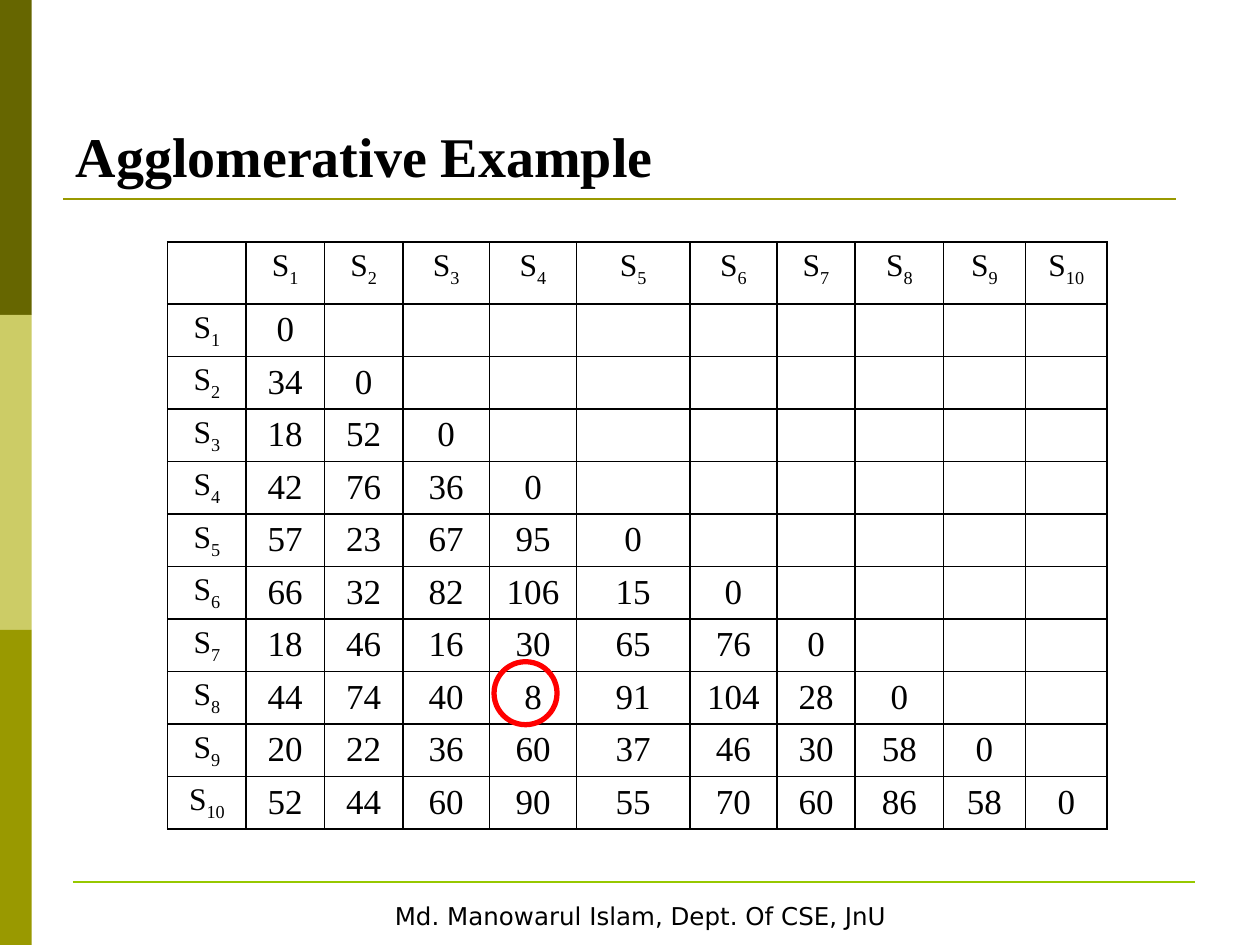
from dataclasses import dataclass

from lxml.etree import SubElement
from pptx import Presentation
from pptx.dml.color import RGBColor
from pptx.enum.shapes import MSO_CONNECTOR, MSO_SHAPE
from pptx.enum.text import MSO_ANCHOR, MSO_AUTO_SIZE, PP_ALIGN
from pptx.oxml.ns import qn
from pptx.util import Cm, Pt

COLORS = {
    "black": "000000",
    "white": "FFFFFF",
    "dark_olive": "666600",
    "pale_olive": "CCCC66",
    "olive": "999900",
    "green": "96C800",
    "red": "FF0000",
}
SERIF = "Times New Roman"
SANS = "DejaVu Sans"

DISTANCES = [
    [0],
    [34, 0],
    [18, 52, 0],
    [42, 76, 36, 0],
    [57, 23, 67, 95, 0],
    [66, 32, 82, 106, 15, 0],
    [18, 46, 16, 30, 65, 76, 0],
    [44, 74, 40, 8, 91, 104, 28, 0],
    [20, 22, 36, 60, 37, 46, 30, 58, 0],
    [52, 44, 60, 90, 55, 70, 60, 86, 58, 0],
]
COLUMN_WIDTHS = [1.58, 1.58, 1.58, 1.75, 1.75, 2.29, 1.75, 1.58, 1.78, 1.65, 1.65]
HEADER_HEIGHT = 1.25
ROW_HEIGHT = 1.03


@dataclass
class Rule:
    left: float
    right: float
    y: float
    color: str


@dataclass
class Figure:
    kind: MSO_SHAPE
    left: float
    top: float
    width: float
    height: float
    fill: str | None = None
    line: str | None = None
    line_width: float = 0


BAND_HEIGHT = 6.35
BANDS = [
    Figure(MSO_SHAPE.RECTANGLE, 0, index * BAND_HEIGHT, 0.64, BAND_HEIGHT, fill=color)
    for index, color in enumerate(["dark_olive", "pale_olive", "olive"])
]
RULES = [Rule(1.27, 23.7, 4.01, "olive"), Rule(1.47, 24.08, 17.78, "green")]
FOOTER = Figure(MSO_SHAPE.RECTANGLE, 1.27, 18.03, 23.29, 0.89, "white", "white", 2)
MINIMUM_RING = Figure(MSO_SHAPE.OVAL, 9.96, 13.34, 1.27, 1.27, line="red", line_width=3)


def rgb(name: str) -> RGBColor:
    return RGBColor.from_string(COLORS[name])


def style_font(font, name: str, size: float, bold: bool = False) -> None:
    font.name = name
    font.size = Pt(size)
    font.bold = bold
    font.color.rgb = rgb("black")


def draw_figure(page, figure: Figure):
    shape = page.shapes.add_shape(
        figure.kind, Cm(figure.left), Cm(figure.top), Cm(figure.width), Cm(figure.height)
    )
    shape.shadow.inherit = False
    if figure.fill:
        shape.fill.solid()
        shape.fill.fore_color.rgb = rgb(figure.fill)
    else:
        shape.fill.background()
    if figure.line:
        shape.line.color.rgb = rgb(figure.line)
        shape.line.width = Pt(figure.line_width)
    else:
        shape.line.fill.background()
    return shape


def draw_rule(page, rule: Rule) -> None:
    line = page.shapes.add_connector(
        MSO_CONNECTOR.STRAIGHT, Cm(rule.left), Cm(rule.y), Cm(rule.right), Cm(rule.y)
    )
    line.line.color.rgb = rgb(rule.color)
    line.line.width = Pt(1.5)
    SubElement(line._element.spPr, qn("a:effectLst"))


def write_title(page, text: str) -> None:
    title = page.shapes.title
    title.left, title.top, title.width, title.height = Cm(1.27), Cm(0.76), Cm(22.86), Cm(3.18)
    frame = title.text_frame
    frame.text = text
    frame.auto_size = MSO_AUTO_SIZE.NONE
    frame.vertical_anchor = MSO_ANCHOR.BOTTOM
    para = frame.paragraphs[0]
    para.alignment = PP_ALIGN.LEFT
    style_font(para.font, SERIF, 32, bold=True)


def write_footer(page, text: str) -> None:
    frame = draw_figure(page, FOOTER).text_frame
    frame.text = text
    frame.word_wrap = False
    frame.vertical_anchor = MSO_ANCHOR.TOP
    para = frame.paragraphs[0]
    para.alignment = PP_ALIGN.CENTER
    style_font(para.font, SANS, 14)


def format_cell(cell) -> None:
    """Give the cell thin black borders and no fill."""
    properties = cell._tc.get_or_add_tcPr()
    for side in ("lnL", "lnR", "lnT", "lnB"):
        border = SubElement(properties, qn(f"a:{side}"), w=str(Pt(1)))
        fill = SubElement(border, qn("a:solidFill"))
        SubElement(fill, qn("a:srgbClr"), val=COLORS["black"])
    cell.fill.background()


def write_cell(cell, text: str, size: float, subscript: str = "") -> None:
    para = cell.text_frame.paragraphs[0]
    para.alignment = PP_ALIGN.CENTER
    style_font(para.font, SERIF, size)
    para.add_run().text = text
    if subscript:
        span = para.add_run()
        span.text = subscript
        span._r.get_or_add_rPr().set("baseline", "-25000")


def draw_distance_table(page) -> None:
    count = len(DISTANCES) + 1
    height = HEADER_HEIGHT + ROW_HEIGHT * len(DISTANCES)
    table = page.shapes.add_table(
        count, count, Cm(3.38), Cm(4.88), Cm(sum(COLUMN_WIDTHS)), Cm(height)
    ).table
    table.first_row = table.horz_banding = False
    for column, width in zip(table.columns, COLUMN_WIDTHS):
        column.width = Cm(width)
    for index, row in enumerate(table.rows):
        row.height = Cm(ROW_HEIGHT if index else HEADER_HEIGHT)
    for cell in table.iter_cells():
        format_cell(cell)
    for index, distances in enumerate(DISTANCES, start=1):
        for label in (table.cell(0, index), table.cell(index, 0)):
            write_cell(label, "S", 18, str(index))
        for column, distance in enumerate(distances, start=1):
            write_cell(table.cell(index, column), str(distance), 20)


def main() -> None:
    deck = Presentation()
    deck.slide_width, deck.slide_height = Cm(25.4), Cm(19.05)
    page = deck.slides.add_slide(deck.slide_layouts.get_by_name("Title Only"))
    for band in BANDS:
        draw_figure(page, band)
    for rule in RULES:
        draw_rule(page, rule)
    write_footer(page, "Md. Manowarul Islam, Dept. Of CSE, JnU")
    write_title(page, "Agglomerative Example")
    draw_distance_table(page)
    draw_figure(page, MINIMUM_RING)
    deck.save("out.pptx")


if __name__ == "__main__":
    main()
